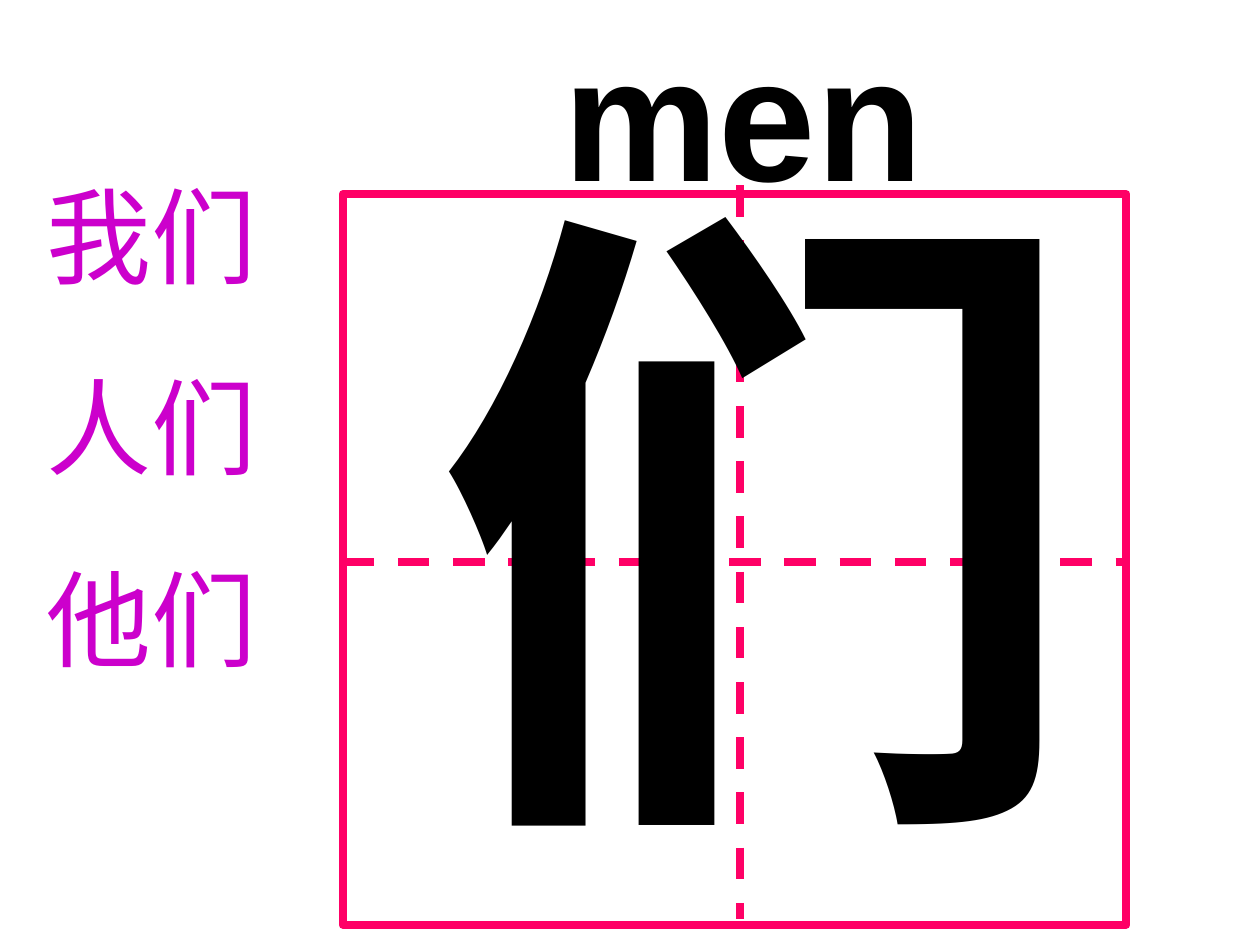
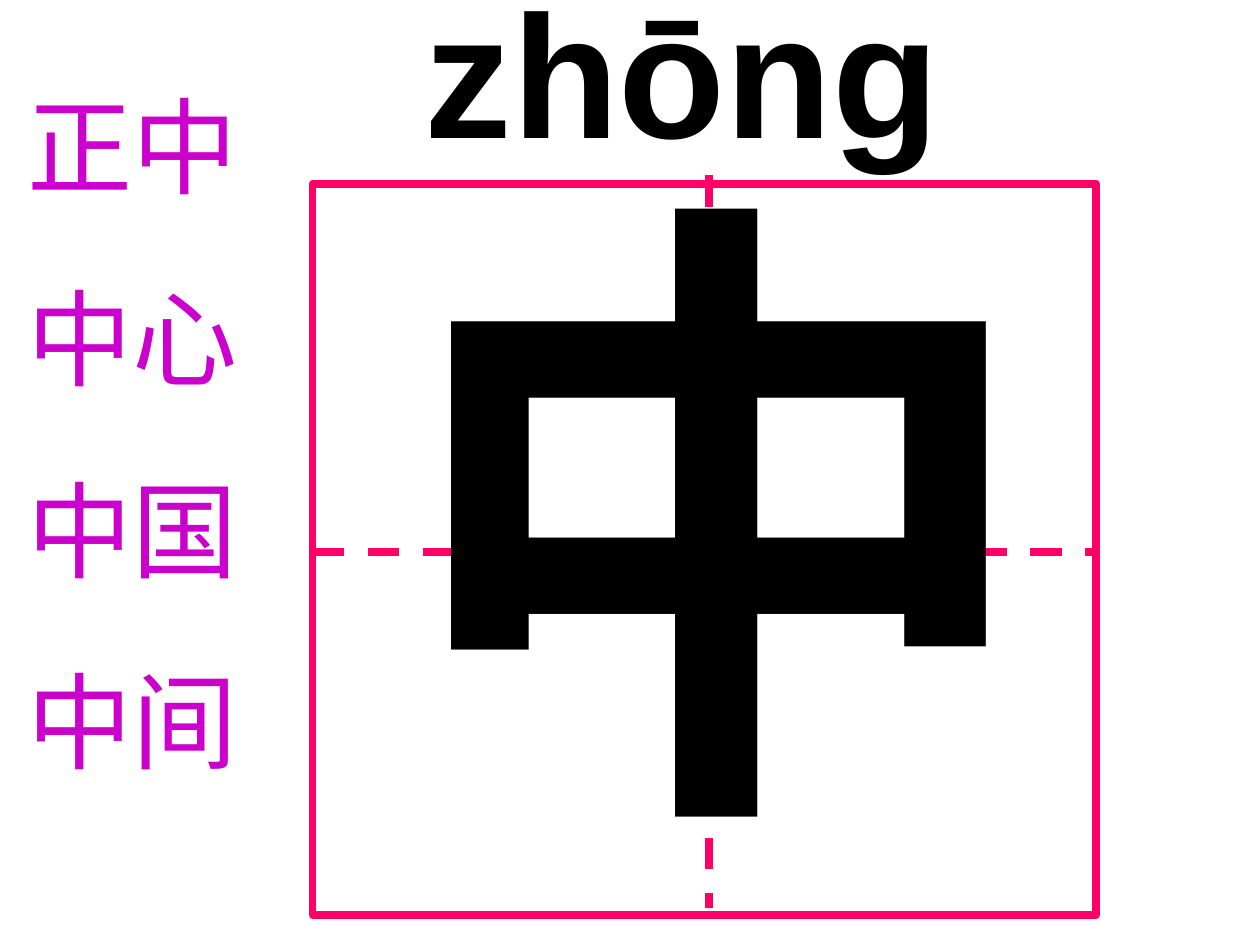
"""Build two flash cards, each with a Chinese character in a practice grid and sample words."""
from lxml.etree import SubElement
from pptx import Presentation
from pptx.dml.color import RGBColor
from pptx.enum.dml import MSO_LINE_DASH_STYLE as Dash
from pptx.enum.shapes import MSO_CONNECTOR as Connector, MSO_SHAPE as Shape
from pptx.enum.text import MSO_ANCHOR as Anchor, MSO_AUTO_SIZE as AutoSize, PP_ALIGN as Align
from pptx.oxml.ns import qn
from pptx.util import Inches, Pt

CARDS = [
    {"pinyin": "men", "pinyin_box": (4.37, 0, 3.86, 1.77),
     "character": "们", "character_at": (3.35, 0.91), "grid_at": (2.72, 1.54),
     "words": ["我们", "人们", "他们"], "words_at": (0.27, 1.31)},
    {"pinyin": "zhōng", "pinyin_box": (3.27, -0.34, 5.51, 1.77),
     "character": "中", "character_at": (3.03, 0.84), "grid_at": (2.48, 1.46),
     "words": ["正中", "中心", "中国", "中间"], "words_at": (0.12, 0.6)},
]
COLORS = {"ink": "000000", "grid": "FF0066", "words": "CC00CC"}
SLIDE_SIZE = (10, 7.5)
GRID_SIZE = (6.22, 5.8)
GRID_ROW, GRID_COLUMN = 2.92, 3.15
COLUMN_RISE, COLUMN_LENGTH = 0.07, 5.82
CHARACTER_SIZE = (5.34, 6.27)
WORD_WIDTH, WORD_SIZE, WORD_GAP = 2.05, 60, 37.5
LINE_SPACING, INSET = 1.2, 0.05
DOT = (1.85, 4.46)


def color(name):
    return RGBColor.from_string(COLORS[name])


def place(shape, box):
    shape.left, shape.top, shape.width, shape.height = map(Inches, box)


def write(shape, lines, *, size, font="Arial", ink="ink", bold=False, gap=0, wrap=True):
    frame = shape.text_frame
    frame.auto_size = AutoSize.NONE
    frame.word_wrap = wrap
    frame.vertical_anchor = Anchor.TOP
    frame.text = "\n".join(lines)
    for index, paragraph in enumerate(frame.paragraphs):
        paragraph.alignment = Align.LEFT
        paragraph.space_before = Pt(gap if index else 0)
        for run in paragraph.runs:
            run.font.name, run.font.size, run.font.bold = font, Pt(size), bold
            run.font.color.rgb = color(ink)


def style_line(line, ink, width, dash=None):
    line.color.rgb = color(ink)
    line.width = Pt(width)
    if dash:
        line.dash_style = dash


def draw_line(shapes, start, end, ink, width, dash=None):
    connector = shapes.add_connector(Connector.STRAIGHT, *map(Inches, start + end))
    style_line(connector.line, ink, width, dash)
    SubElement(connector._element.spPr, qn("a:effectLst"))


def draw_grid(slide, left, top):
    width, height = GRID_SIZE
    grid = slide.shapes.add_group_shape().shapes
    frame = grid.add_shape(Shape.RECTANGLE, *map(Inches, (left, top, width, height)))
    frame.shadow.inherit = False
    frame.fill.background()
    style_line(frame.line, "grid", 4.5)
    row, column, column_top = top + GRID_ROW, left + GRID_COLUMN, top - COLUMN_RISE
    draw_line(grid, (left, row), (left + width, row), "grid", 4.5, Dash.DASH)
    draw_line(grid, (column, column_top), (column, column_top + COLUMN_LENGTH),
              "grid", 4.5, Dash.DASH)


def add_text(slide, box, lines, **style):
    write(slide.shapes.add_textbox(*map(Inches, box)), lines, **style)


def build_card(deck, card):
    slide = deck.slides.add_slide(deck.slide_layouts[5])
    draw_line(slide.shapes, DOT, DOT, "ink", 0.75)
    pinyin = slide.shapes.title
    place(pinyin, card["pinyin_box"])
    write(pinyin, [card["pinyin"]], size=100, bold=True)
    draw_grid(slide, *card["grid_at"])
    add_text(slide, card["character_at"] + CHARACTER_SIZE, [card["character"]],
             size=370, font="Times New Roman", bold=True, wrap=False)
    words = card["words"]
    points = len(words) * WORD_SIZE * LINE_SPACING + (len(words) - 1) * WORD_GAP
    add_text(slide, card["words_at"] + (WORD_WIDTH, points / 72 + 2 * INSET), words,
             size=WORD_SIZE, ink="words", gap=WORD_GAP)


def main():
    deck = Presentation()
    deck.slide_width, deck.slide_height = map(Inches, SLIDE_SIZE)
    for card in CARDS:
        build_card(deck, card)
    deck.save("out.pptx")


if __name__ == "__main__":
    main()
